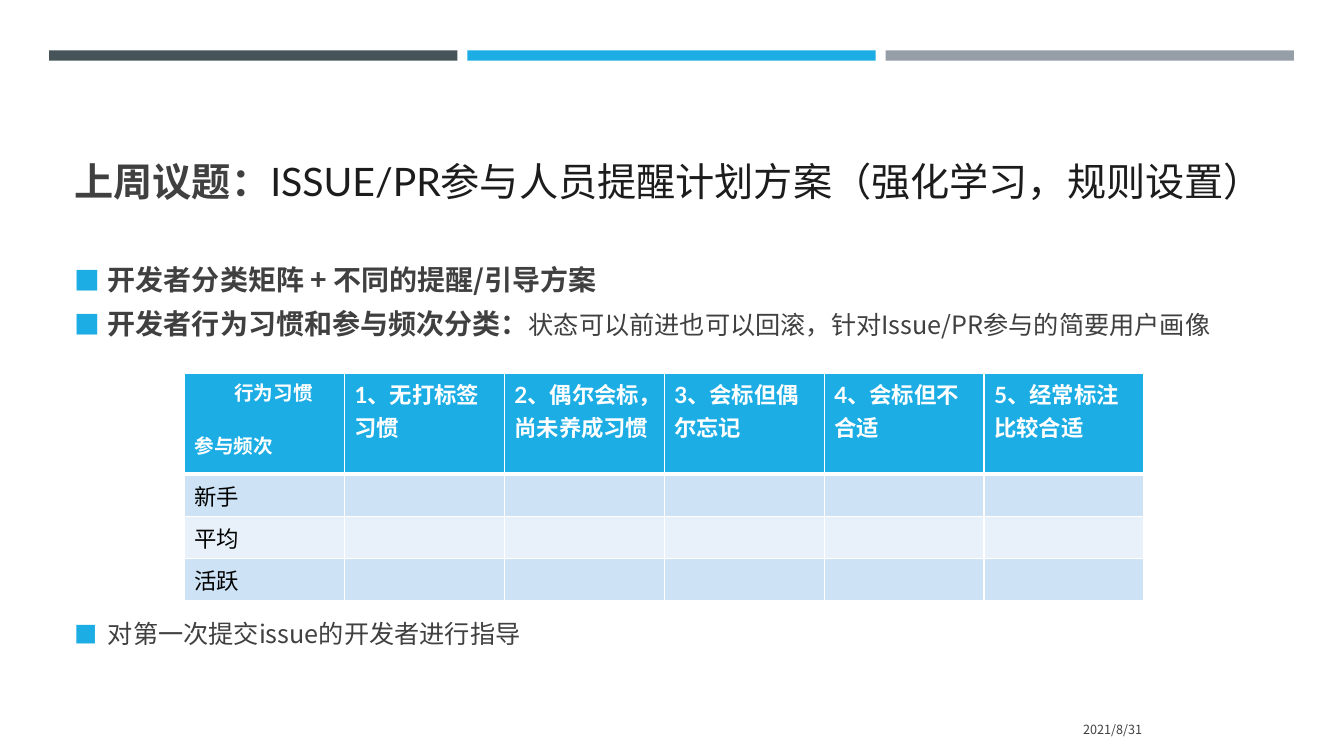
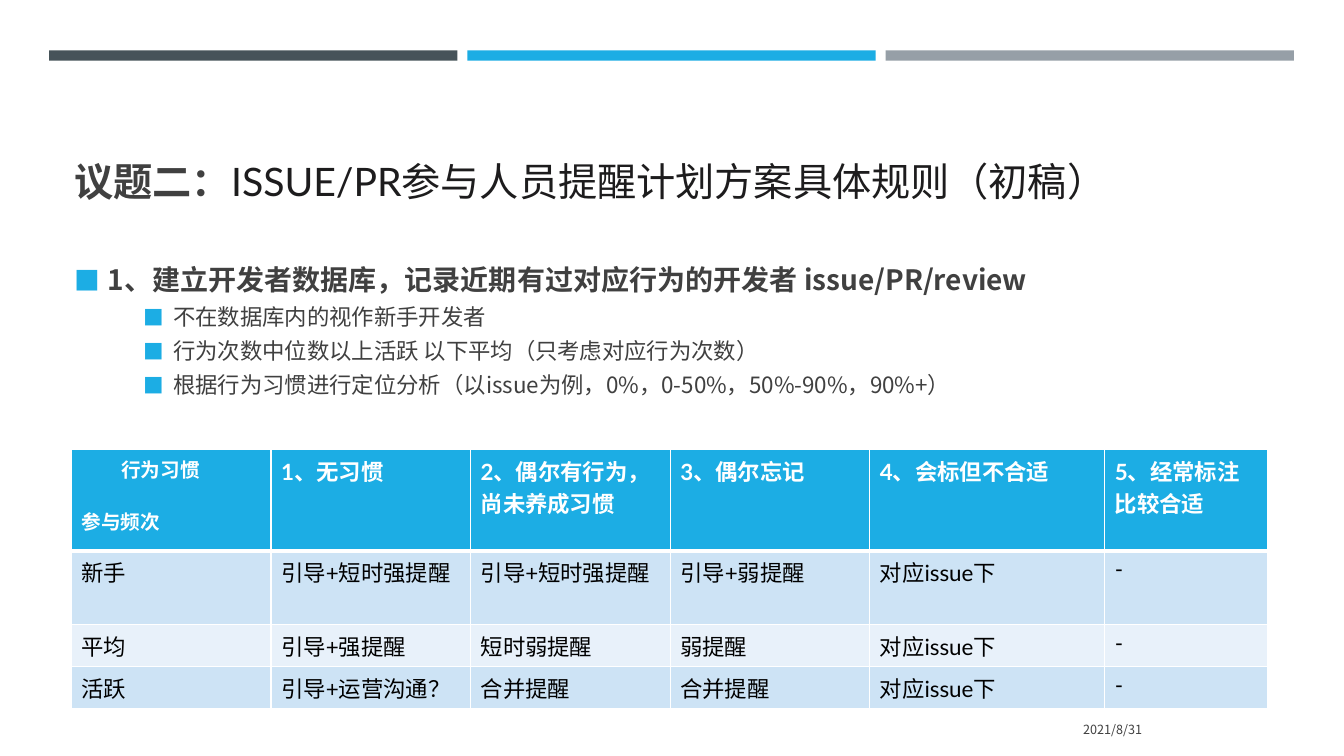
from lxml.etree import SubElement
from pptx import Presentation
from pptx.dml.color import RGBColor
from pptx.enum.shapes import MSO_SHAPE
from pptx.enum.text import MSO_ANCHOR, PP_ALIGN
from pptx.oxml.ns import qn
from pptx.util import Cm, Pt

COLORS = {
    "slate": "465359", "blue": "1CADE4", "gray": "969FA7",
    "text": "404040", "title": "1D1C1D", "white": "FFFFFF", "black": "000000",
    "band_dark": "CDE3F5", "band_light": "E8F1FA",
}
SANS = "Noto Sans CJK SC"
LATIN = "Lato"
DATE = "2021/8/31"
BARS = ["slate", "blue", "gray"]
CORNER = ("行为习惯", "参与频次")
INDENTS = [(0.84, -0.84), (2.49, -0.76)]

SLIDES = [
    {
        "title": ("上周议题：", "ISSUE/PR参与人员提醒计划方案（强化学习，规则设置）"),
        "gap": 7,
        "bullets": [
            (0, 0, [("开发者分类矩阵 + 不同的提醒/引导方案", 20, True)]),
            (0, 0, [("开发者行为习惯和参与频次分类：", 20, True),
                    ("状态可以前进也可以回滚，针对Issue/PR参与的简要用户画像", 18, False)]),
            (0, 192, [("对第一次提交issue的开发者进行指导", 18, False)]),
        ],
        "table": {
            "left": 4.65, "top": 9.4,
            "columns": [4.03] * 6,
            "rows": [2.55, 1.06, 1.06, 1.06],
            "header": ["1、无打标签习惯", "2、偶尔会标，尚未养成习惯", "3、会标但偶尔忘记",
                       "4、会标但不合适", "5、经常标注比较合适"],
            "body": [["新手"] + [""] * 5, ["平均"] + [""] * 5, ["活跃"] + [""] * 5],
        },
    },
    {
        "title": ("议题二：", "ISSUE/PR参与人员提醒计划方案具体规则（初稿）"),
        "gap": 5,
        "bullets": [
            (0, 0, [("1、建立开发者数据库，记录近期有过对应行为的开发者 issue/PR/review", 20, True)]),
            (1, 0, [("不在数据库内的视作新手开发者", 16, False)]),
            (1, 0, [("行为次数中位数以上活跃 以下平均（只考虑对应行为次数）", 16, False)]),
            (1, 0, [("根据行为习惯进行定位分析（以issue为例，0%，0-50%，50%-90%，90%+）", 16, False)]),
        ],
        "table": {
            "left": 1.8, "top": 11.33,
            "columns": [5.03] * 4 + [5.92, 4.11],
            "rows": [2.55, 1.86, 1.06, 1.06],
            "header": ["1、无习惯", "2、偶尔有行为，尚未养成习惯", "3、偶尔忘记",
                       "4、会标但不合适", "5、经常标注比较合适"],
            "body": [
                ["新手", "引导+短时强提醒", "引导+短时强提醒", "引导+弱提醒", "对应issue下", "-"],
                ["平均", "引导+强提醒", "短时弱提醒", "弱提醒", "对应issue下", "-"],
                ["活跃", "引导+运营沟通？", "合并提醒", "合并提醒", "对应issue下", "-"],
            ],
        },
    },
]


def rgb(name):
    return RGBColor.from_string(COLORS[name])


def add_span(para, text, size, color, bold=False, latin=SANS):
    span = para.add_run()
    span.text = text
    span.font.size = Pt(size)
    span.font.bold = bold
    span.font.name = latin
    span.font.color.rgb = rgb(color)
    SubElement(span.font._element, qn("a:ea"), typeface=SANS)


def add_box(page, left, top, width, height, anchor):
    box = page.shapes.add_textbox(Cm(left), Cm(top), Cm(width), Cm(height))
    box.text_frame.word_wrap = True
    box.text_frame.vertical_anchor = anchor
    return box.text_frame


def add_bars(page):
    for index, color in enumerate(BARS):
        bar = page.shapes.add_shape(
            MSO_SHAPE.RECTANGLE, Cm(1.24 + index * 10.54), Cm(1.27), Cm(10.29), Cm(0.26))
        bar.shadow.inherit = False
        bar.fill.solid()
        bar.fill.fore_color.rgb = rgb(color)
        bar.line.fill.background()


def add_title(page, label, subject):
    para = add_box(page, 1.63, 1.96, 30.63, 3.3, MSO_ANCHOR.BOTTOM).paragraphs[0]
    para.line_spacing = 0.82
    add_span(para, label, 28, "text", True)
    add_span(para, subject, 28, "title", False, LATIN)


def add_date(page):
    para = add_box(page, 21.13, 17.86, 7.9, 1.02, MSO_ANCHOR.MIDDLE).paragraphs[0]
    para.alignment = PP_ALIGN.RIGHT
    add_span(para, DATE, 9, "text")


def set_bullet(para, level):
    margin, indent = INDENTS[level]
    properties = para._p.get_or_add_pPr()
    properties.set("marL", str(Cm(margin)))
    properties.set("indent", str(Cm(indent)))
    color = SubElement(properties, qn("a:buClr"))
    SubElement(color, qn("a:srgbClr"), val=COLORS["blue"])
    SubElement(properties, qn("a:buSzPct"), val="92000")
    SubElement(properties, qn("a:buFont"), typeface=SANS)
    SubElement(properties, qn("a:buChar"), char="■")


def add_bullets(page, bullets, gap):
    frame = add_box(page, 1.63, 6.5, 30.63, 10.59, MSO_ANCHOR.TOP)
    for index, (level, before, spans) in enumerate(bullets):
        para = frame.add_paragraph() if index else frame.paragraphs[0]
        para.space_before = Pt(before)
        para.space_after = Pt(gap)
        set_bullet(para, level)
        for text, size, bold in spans:
            add_span(para, text, size, "text", bold)


def style_cell(cell, fill, bottom):
    properties = cell._tc.get_or_add_tcPr()
    for side, width in (("lnL", 1), ("lnR", 1), ("lnT", 1), ("lnB", bottom)):
        line = SubElement(properties, qn("a:" + side), w=str(Pt(width)))
        solid = SubElement(line, qn("a:solidFill"))
        SubElement(solid, qn("a:srgbClr"), val=COLORS["white"])
    cell.fill.solid()
    cell.fill.fore_color.rgb = rgb(fill)


def fill_corner(cell):
    habit = cell.text_frame.paragraphs[0]
    habit._p.get_or_add_pPr().set("marL", str(Cm(1)))
    habit.space_before = Pt(2)
    frequency = cell.text_frame.add_paragraph()
    frequency.space_before = Pt(17)
    for para, text in zip((habit, frequency), CORNER):
        add_span(para, text, 14, "white", True, LATIN)


def add_matrix(page, left, top, columns, rows, header, body):
    table = page.shapes.add_table(
        len(rows), len(columns), Cm(left), Cm(top), Cm(sum(columns)), Cm(sum(rows))).table
    for column, width in zip(table.columns, columns):
        column.width = Cm(width)
    for row, height in zip(table.rows, rows):
        row.height = Cm(height)
    for row_index, texts in enumerate([[""] + header] + body):
        is_header = row_index == 0
        band = "band_dark" if row_index % 2 else "band_light"
        for column_index, text in enumerate(texts):
            cell = table.cell(row_index, column_index)
            style_cell(cell, "blue" if is_header else band, 3 if is_header else 1)
            if text:
                add_span(cell.text_frame.paragraphs[0], text, 16,
                         "white" if is_header else "black", is_header, LATIN)
    fill_corner(table.cell(0, 0))


def main():
    deck = Presentation()
    deck.slide_width = Cm(33.87)
    deck.slide_height = Cm(19.05)
    for content in SLIDES:
        page = deck.slides.add_slide(deck.slide_layouts[6])
        add_bars(page)
        add_title(page, *content["title"])
        add_bullets(page, content["bullets"], content["gap"])
        add_date(page)
        add_matrix(page, **content["table"])
    deck.save("out.pptx")


if __name__ == "__main__":
    main()
